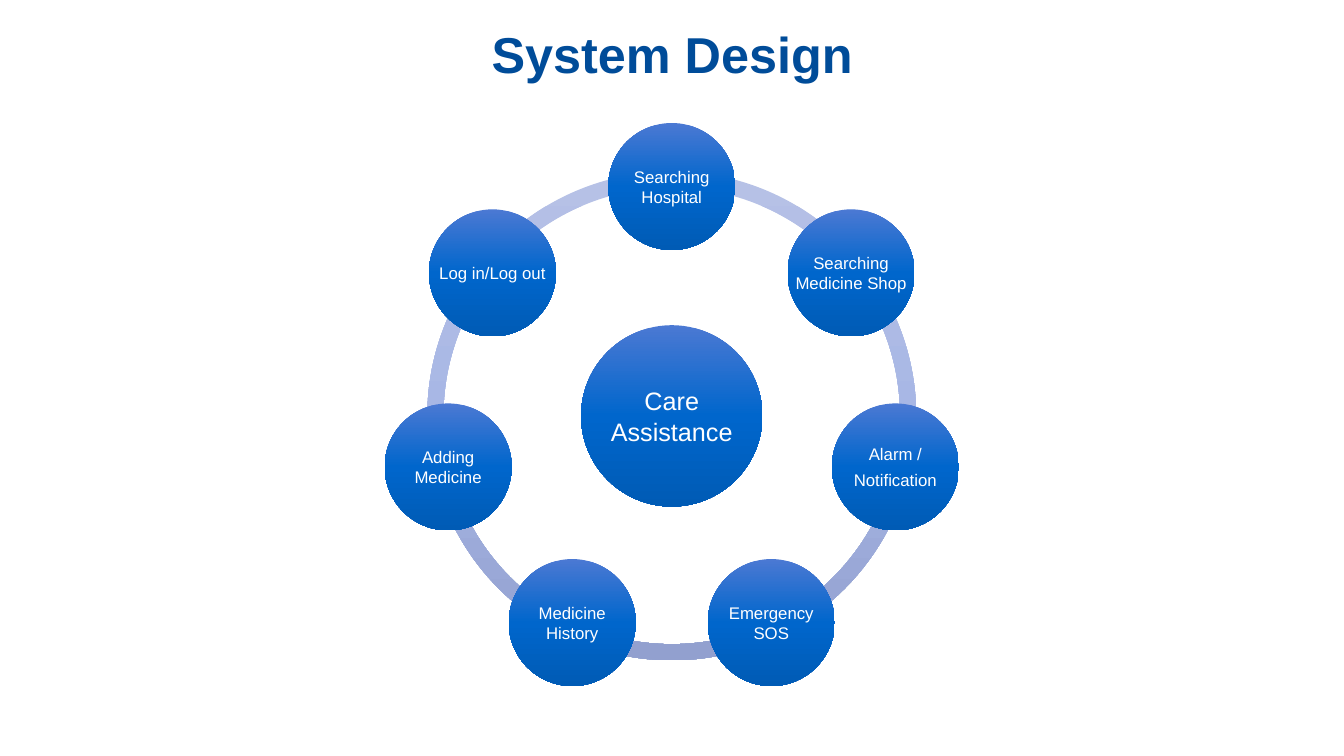
import copy
import math

import pptx
import pptx.dml.color
import pptx.enum.shapes
import pptx.enum.text
import pptx.util

Cm = pptx.util.Cm
SHAPES = pptx.enum.shapes.MSO_SHAPE

CENTER_X, CENTER_Y = 16.93, 10.48
ORBIT_RADIUS = 5.78
RING_SIZE = 12.32
HUB_SIZE, FEATURE_SIZE = 4.57, 3.2
RING_COLORS = ["B6C1E6", "A8B7E5", "92A0CF"]
CIRCLE_COLORS = ["4B79D3", "0066CC", "005BB5"]
HUB = ["Care Assistance"]
FEATURES = [
    ["Searching Hospital"],
    ["Searching Medicine Shop"],
    ["Alarm /", "Notification"],
    ["Emergency SOS"],
    ["Medicine History"],
    ["Adding Medicine"],
    ["Log in/Log out"],
]


def add_gradient_shape(kind, center_x, center_y, size, colors):
    """Add a borderless square shape with a three-stop gradient from top to bottom."""
    shape = slide.shapes.add_shape(
        kind, Cm(center_x - size / 2), Cm(center_y - size / 2), Cm(size), Cm(size))
    shape.shadow.inherit = False
    shape.line.fill.background()
    shape.fill.gradient()
    shape.fill.gradient_angle = 270
    first_stop = shape.element.spPr.find(".//" + pptx.oxml.ns.qn("a:gs"))
    first_stop.addnext(copy.deepcopy(first_stop))
    for stop, position, color in zip(shape.fill.gradient_stops, [0, 0.5, 1], colors):
        stop.position = position
        stop.color.rgb = pptx.dml.color.RGBColor.from_string(color)
    return shape


def add_text(lines, left, top, width, height, size, color, bold=False):
    """Add a centred text box with one paragraph per line."""
    frame = slide.shapes.add_textbox(Cm(left), Cm(top), Cm(width), Cm(height)).text_frame
    frame_format = {
        "word_wrap": True,
        "vertical_anchor": pptx.enum.text.MSO_ANCHOR.MIDDLE,
        "margin_left": Cm(0.1), "margin_right": Cm(0.1),
        "margin_top": Cm(0.1), "margin_bottom": Cm(0.1),
    }
    for name, value in frame_format.items():
        setattr(frame, name, value)
    frame.text = "\n".join(lines)
    font_format = {"name": "Arial", "size": pptx.util.Pt(size), "bold": bold}
    for paragraph in frame.paragraphs:
        paragraph.alignment = pptx.enum.text.PP_ALIGN.CENTER
        paragraph.space_after = pptx.util.Pt(4)
        for name, value in font_format.items():
            setattr(paragraph.font, name, value)
        paragraph.font.color.rgb = pptx.dml.color.RGBColor.from_string(color)


presentation = pptx.Presentation()
presentation.slide_width = Cm(33.87)
presentation.slide_height = Cm(19.05)
slide = presentation.slides.add_slide(presentation.slide_layouts[6])

add_text(["System Design"], 1.7, 0.53, 30.48, 1.63, 36, "004C99", bold=True)

# Ring: one arc from each feature to the next, clockwise from the top
step = 360 / len(FEATURES)
angles = [(270 + index * step) % 360 for index in range(len(FEATURES))]
for angle in angles:
    arc = add_gradient_shape(SHAPES.BLOCK_ARC, CENTER_X, CENTER_Y, RING_SIZE, RING_COLORS)
    # Angles are stored in 60000ths of a degree, adjustments in 100000ths
    arc.adjustments[0] = angle * 0.6
    arc.adjustments[1] = (angle + step) % 360 * 0.6
    arc.adjustments[2] = 0.033

# Hub in the middle, features around it
circles = [(HUB, CENTER_X, CENTER_Y, HUB_SIZE, 18)]
for lines, angle in zip(FEATURES, angles):
    center_x = CENTER_X + ORBIT_RADIUS * math.cos(math.radians(angle))
    center_y = CENTER_Y + ORBIT_RADIUS * math.sin(math.radians(angle))
    circles.append((lines, center_x, center_y, FEATURE_SIZE, 12))

for lines, center_x, center_y, size, font_size in circles:
    add_gradient_shape(SHAPES.OVAL, center_x, center_y, size, CIRCLE_COLORS)
    add_text(lines, center_x - size / 2, center_y - size / 2, size, size, font_size, "FFFFFF")

presentation.save("out.pptx")
